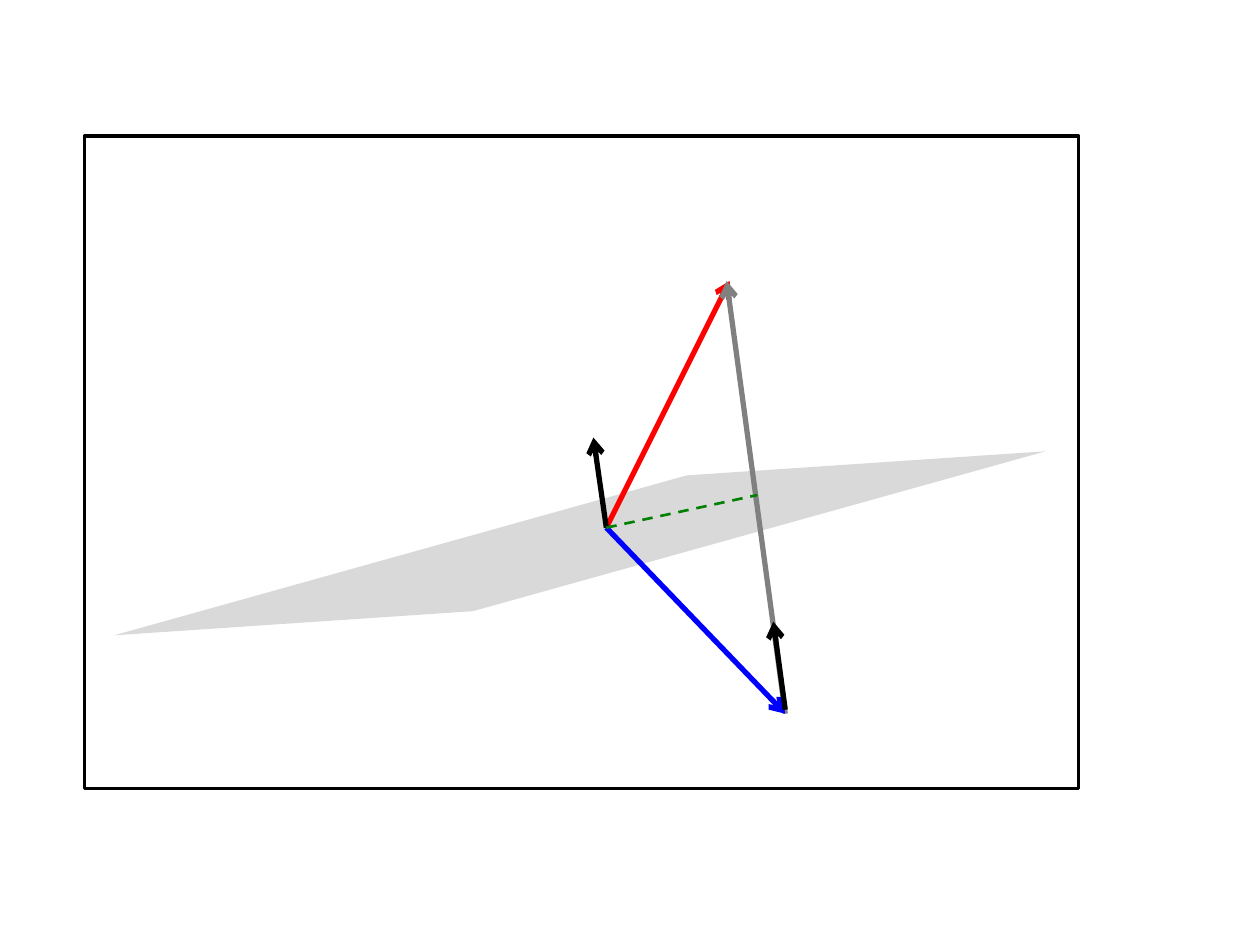
from dataclasses import dataclass

from lxml import etree
from pptx import Presentation
from pptx import util as u
from pptx.dml.color import RGBColor
from pptx.enum import dml, shapes
from pptx.oxml import ns


@dataclass(frozen=True)
class Theme:
    ink: str = "000000"
    plane: str = "D9D9D9"
    incoming: str = "FF0000"
    mirrored: str = "0000FF"
    difference: str = "808080"
    in_plane: str = "008000"
    frame_width: float = 2
    vector_width: float = 3
    guide_width: float = 1.5


THEME = Theme()


def style_line(line, color, width):
    line.color.rgb = RGBColor.from_string(color)
    line.width = u.Pt(width)


def add_frame(slide, left, top, width, height):
    frame = slide.shapes.add_shape(
        shapes.MSO_SHAPE.RECTANGLE, *map(u.Inches, (left, top, width, height)))
    frame.shadow.inherit = False
    frame.fill.background()
    style_line(frame.line, THEME.ink, THEME.frame_width)


def add_plane(slide, corners):
    start, *others = [tuple(map(u.Inches, corner)) for corner in corners]
    outline = slide.shapes.build_freeform(*start)
    outline.add_line_segments(others, close=True)
    plane = outline.convert_to_shape()
    plane.shadow.inherit = False
    plane.fill.solid()
    plane.fill.fore_color.rgb = RGBColor.from_string(THEME.plane)
    plane.line.fill.background()


def add_segment(slide, start, end, color, width):
    segment = slide.shapes.add_connector(
        shapes.MSO_CONNECTOR.STRAIGHT, *map(u.Inches, (*start, *end)))
    style_line(segment.line, color, width)
    etree.SubElement(segment._element.spPr, ns.qn("a:effectLst"))
    return segment


def add_vector(slide, start, end, color):
    vector = add_segment(slide, start, end, color, THEME.vector_width)
    etree.SubElement(vector.line._get_or_add_ln(), ns.qn("a:tailEnd"), type="arrow")


def add_reflection(slide, left, top, width, height):
    """Reflection of a vector in a plane, placed relative to the frame."""
    def at(x, y):
        return left + x * width, top + y * height

    origin, mirror_tip = at(0.525, 0.6), at(0.705, 0.885)

    # Frame and tilted plane
    add_frame(slide, left, top, width, height)
    add_plane(slide, [at(0.03, 0.765), at(0.606, 0.52),
                      at(0.967, 0.483), at(0.391, 0.728)])

    # Vectors, back to front
    add_vector(slide, origin, at(0.649, 0.222), THEME.incoming)
    add_vector(slide, origin, at(0.512, 0.462), THEME.ink)
    add_vector(slide, mirror_tip, at(0.646, 0.222), THEME.difference)
    add_vector(slide, origin, mirror_tip, THEME.mirrored)
    add_vector(slide, at(0.705, 0.879), at(0.693, 0.744), THEME.ink)

    # Projection into the plane
    projection = add_segment(slide, origin, at(0.677, 0.55),
                             THEME.in_plane, THEME.guide_width)
    projection.line.dash_style = dml.MSO_LINE.DASH


def main():
    deck = Presentation()
    deck.slide_width, deck.slide_height = u.Inches(10), u.Inches(7.5)
    slide = deck.slides.add_slide(deck.slide_layouts[6])
    add_reflection(slide, 0.67, 1.08, 7.89, 5.18)
    deck.save("out.pptx")


if __name__ == "__main__":
    main()
